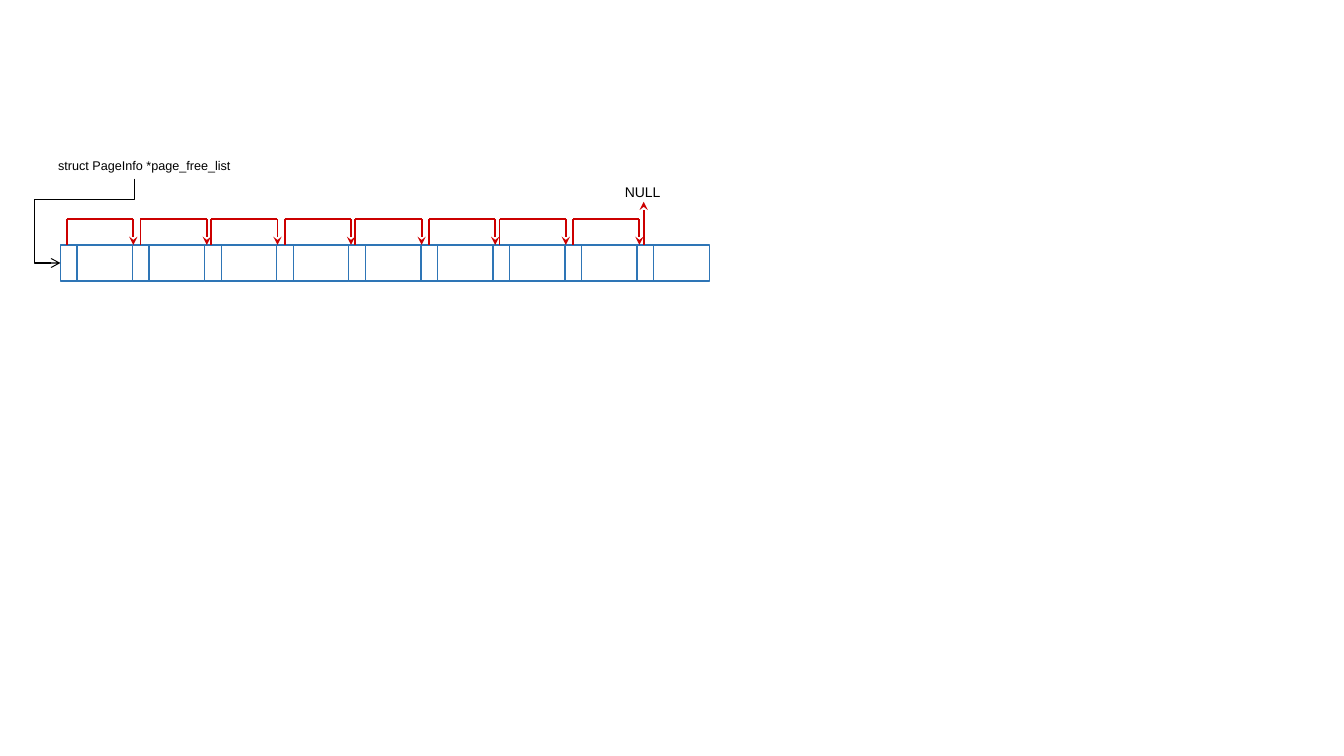
import pptx
import pptx.util
import pptx.dml.color
import pptx.enum.shapes
import pptx.oxml
import pptx.oxml.ns

prs = pptx.Presentation()
prs.slide_width = pptx.util.Inches(13.33)
prs.slide_height = pptx.util.Inches(7.5)
s = prs.slides.add_slide(prs.slide_layouts[6])

LEFT, TOP = pptx.util.Inches(0.6), pptx.util.Inches(2.43)
COL, ROW = pptx.util.Inches(0.715), pptx.util.Inches(0.36)
PAGES = 9
POINTER = 0.23
LINK_TOP = -0.72
BLUE, RED, BLACK = "2E75B6", "CC0000", "000000"
qn = pptx.oxml.ns.qn


def color(value):
    return pptx.dml.color.RGBColor.from_string(value)


def line(c1, r1, c2, r2, stroke, width, head=None, kind="STRAIGHT"):
    cn = s.shapes.add_connector(
        pptx.enum.shapes.MSO_CONNECTOR[kind],
        round(LEFT + c1 * COL), round(TOP + r1 * ROW),
        round(LEFT + c2 * COL), round(TOP + r2 * ROW))
    cn.line.color.rgb = color(stroke)
    cn.line.width = pptx.util.Pt(width)
    if head:
        tail = pptx.oxml.parse_xml(f'<a:tailEnd {pptx.oxml.ns.nsdecls("a")} type="{head}"/>')
        cn.line._get_or_add_ln().append(tail)
    cn._element.spPr.append(pptx.oxml.parse_xml(f'<a:effectLst {pptx.oxml.ns.nsdecls("a")}/>'))
    return cn


for i in range(PAGES):
    page = s.shapes.add_shape(
        pptx.enum.shapes.MSO_SHAPE.RECTANGLE, LEFT + i * COL, TOP, COL, ROW)
    page.shadow.inherit = False
    page.fill.background()
    page.line.color.rgb = color(BLUE)
    page.line.width = pptx.util.Pt(1)
    line(i + POINTER, 0, i + POINTER, 1, BLUE, 1)

for i in range(PAGES - 1):
    start = i + (0.09, 0.11)[i % 2]
    end = start + 0.92
    line(start, 0, start, LINK_TOP, RED, 1.25)
    line(start, LINK_TOP, end, LINK_TOP, RED, 1.25)
    line(end, LINK_TOP, end, 0, RED, 1.25, "stealth")

line(8.09, 0, 8.09, -1.19, RED, 1.25, "stealth")

list_head = line(-0.07, -1.69, 1.1, 0.36, BLACK, 0.75, "arrow", "ELBOW")
spPr = list_head._element.spPr
spPr.find(qn("a:xfrm")).set("rot", "5400000")
geom = spPr.find(qn("a:prstGeom"))
geom.set("prst", "bentConnector4")
for name, value in (("adj1", 24500), ("adj2", 135200)):
    guide = pptx.oxml.parse_xml(
        f'<a:gd {pptx.oxml.ns.nsdecls("a")} name="{name}" fmla="val {value}"/>')
    geom.find(qn("a:avLst")).append(guide)

for text, c, r, w, h, size in (
        ("struct PageInfo *page_free_list", -0.17, -2.53, 3, 0.7, 9),
        ("NULL", 7.69, -1.83, 0.8, 0.75, 10)):
    label = s.shapes.add_textbox(
        round(LEFT + c * COL), round(TOP + r * ROW), round(w * COL), round(h * ROW))
    tf = label.text_frame
    tf.word_wrap = True
    tf.text = text
    font = tf.paragraphs[0].runs[0].font
    font.name = "Arial"
    font.size = pptx.util.Pt(size)
    font.color.rgb = color(BLACK)

prs.save("out.pptx")
